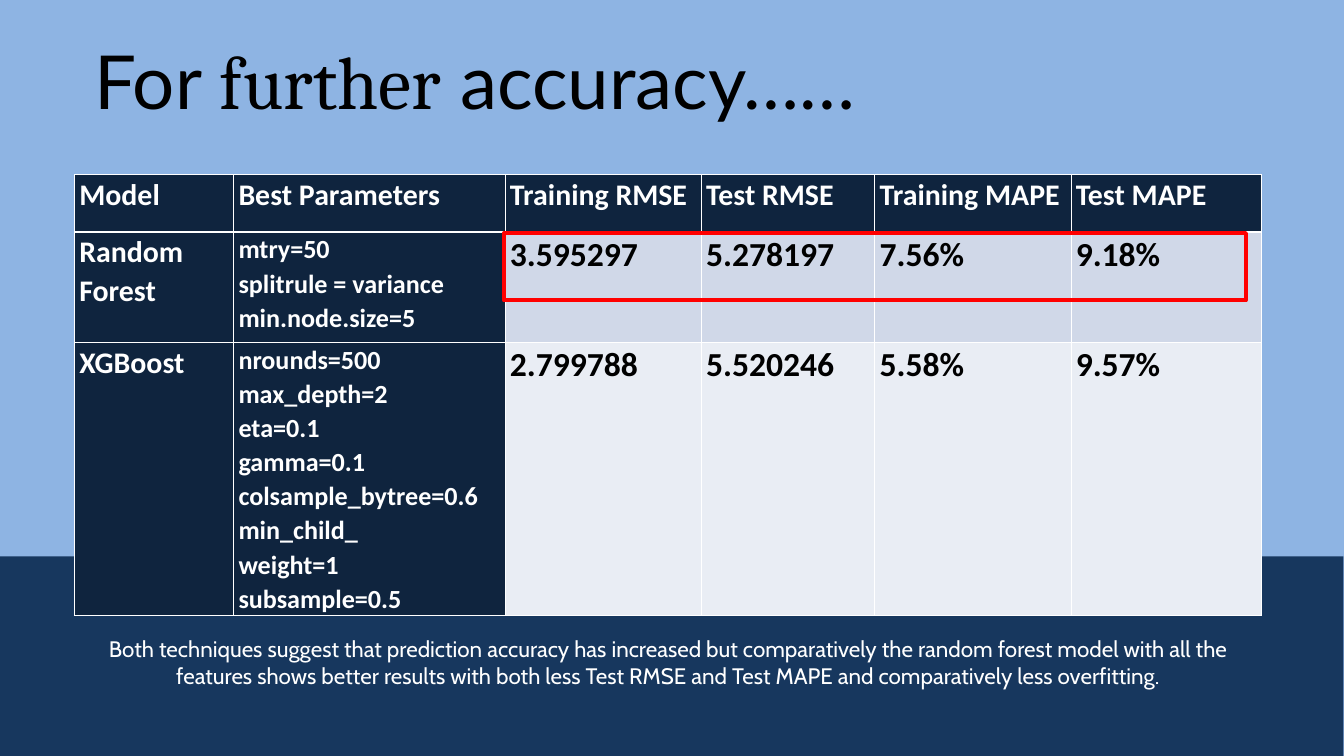
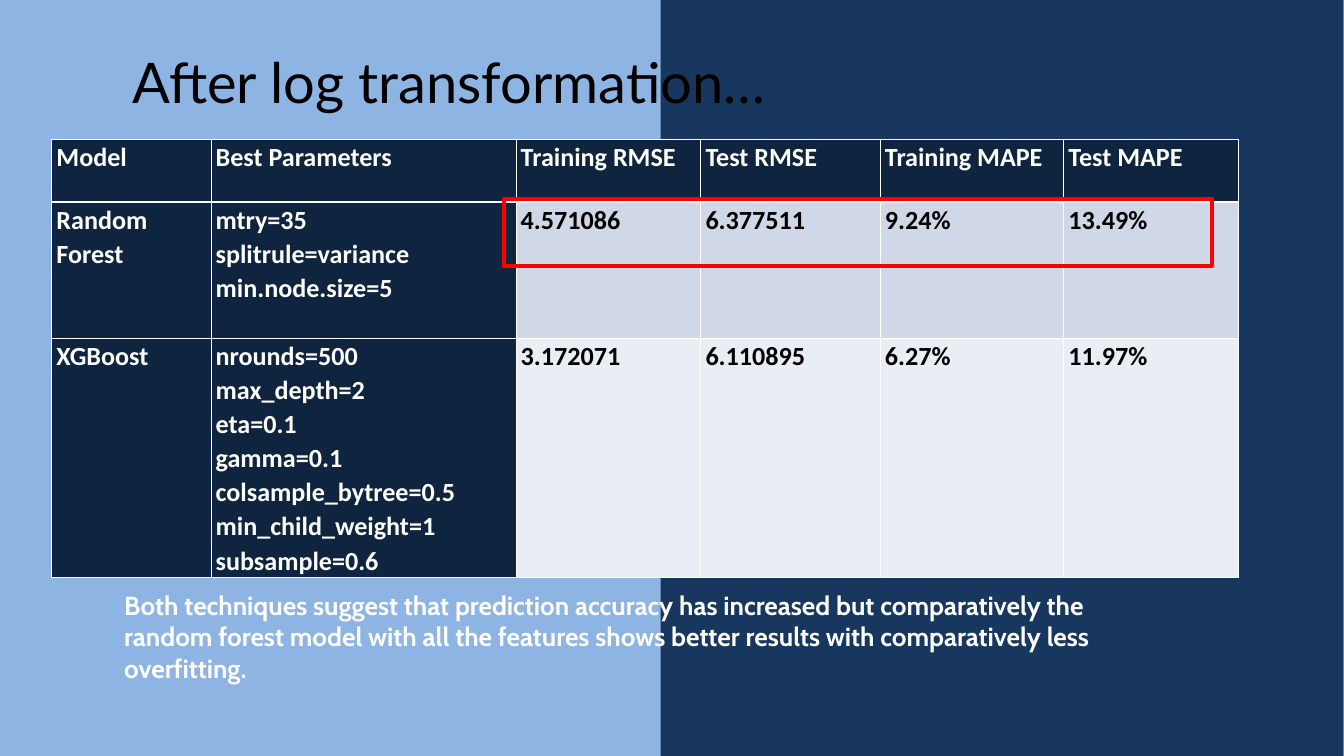
from lxml.etree import SubElement
from pptx import Presentation
from pptx.dml.color import RGBColor
from pptx.enum.shapes import MSO_SHAPE
from pptx.enum.text import MSO_ANCHOR, MSO_AUTO_SIZE, PP_ALIGN
from pptx.oxml.ns import qn
from pptx.util import Pt

PX = 9144  # 100 px to the inch
SKY = RGBColor(0x8E, 0xB4, 0xE3)
NAVY = RGBColor(0x17, 0x37, 0x5E)
INK = RGBColor(0x0F, 0x24, 0x3E)
BANDS = [RGBColor(0xD0, 0xD8, 0xE8), RGBColor(0xE9, 0xED, 0xF4)]
RED = RGBColor(0xFF, 0, 0)
BLACK = RGBColor(0, 0, 0)
WHITE = RGBColor(0xFF, 0xFF, 0xFF)

HEADS = ["Model", "Best Parameters", "Training RMSE", "Test RMSE",
         "Training MAPE", "Test MAPE"]

SLIDES = [
    dict(
        panel=(0, 828, 1999, 297),
        title=[("For ", "Lato"), ("further", "Cambria"), (" accuracy……", "Lato")],
        spot=(140, 30, 1476, 157), size=79.8, lead=Pt(111.8),
        grid=(111, 260), cols=[237, 404, 292, 258, 292, 283],
        rows=[85, 164, 396], sizes=dict(name=32, param=28, score=36),
        forest=["mtry=50\nsplitrule = variance\nmin.node.size=5",
                "3.595297", "5.278197", "7.56%", "9.18%"],
        boost=["nrounds=500\nmax_depth=2\neta=0.1\ngamma=0.1\n"
               "colsample_bytree=0.6\nmin_child_\nweight=1\nsubsample=0.5",
               "2.799788", "5.520246", "5.58%", "9.57%"],
        frame=(750, 347, 1104, 100),
        note="Both techniques suggest that prediction accuracy has increased but "
             "comparatively the random forest model with all the features shows "
             "better results with both less Test RMSE and Test MAPE and "
             "comparatively less overfitting.",
        place=(101, 940, 1786, 91), style=(24, False, PP_ALIGN.CENTER)),
    dict(
        panel=(983, 0, 1016, 1125),
        title=[("After log transformation…", "Lato")],
        spot=(197, 70, 1527, 101), size=60, lead=1.0,
        grid=(77, 208), cols=[237, 454, 275, 267, 273, 260],
        rows=[93, 202, 356], sizes=dict(name=28, param=28, score=28),
        forest=["mtry=35\nsplitrule=variance\nmin.node.size=5",
                "4.571086", "6.377511", "9.24%", "13.49%"],
        boost=["nrounds=500\nmax_depth=2\neta=0.1\ngamma=0.1\n"
               "colsample_bytree=0.5\nmin_child_weight=1\nsubsample=0.6",
               "3.172071", "6.110895", "6.27%", "11.97%"],
        frame=(750, 296, 1054, 100),
        note="Both techniques suggest that prediction accuracy has increased but "
             "comparatively the random forest model with all the features shows "
             "better results with comparatively less overfitting.",
        place=(175, 872, 1515, 246), style=(28, True, PP_ALIGN.LEFT)),
]


def put(para, text, face, size, color, bold=False):
    """Add one formatted run to a paragraph."""
    run = para.add_run()
    run.text = text
    font = run.font
    font.name, font.size, font.bold = face, Pt(size), bold
    font.color.rgb = color


def edge(cell, row):
    """Draw white cell borders, thick between header and body."""
    props = cell._tc.get_or_add_tcPr()
    thick = {(0, "B"), (1, "T")}
    for spot, side in enumerate("LRTB"):
        width = Pt(3 if (row, side) in thick else 1)
        line = SubElement(props, qn(f"a:ln{side}"), w=str(width))
        fill = SubElement(line, qn("a:solidFill"))
        SubElement(fill, qn("a:srgbClr"), val=str(WHITE))
        props.insert(spot, line)


deck = Presentation()
deck.slide_width, deck.slide_height = 2000 * PX, 1125 * PX

for data in SLIDES:
    slide = deck.slides.add_slide(deck.slide_layouts[5])
    slide.background.fill.solid()
    slide.background.fill.fore_color.rgb = SKY
    shapes = slide.shapes

    title = shapes.title
    title.left, title.top, title.width, title.height = [n * PX for n in data["spot"]]
    box = title.text_frame
    box.margin_left = box.margin_right = box.margin_top = box.margin_bottom = 0
    box.vertical_anchor = MSO_ANCHOR.TOP
    box.auto_size = MSO_AUTO_SIZE.NONE
    box.word_wrap = True
    para = box.paragraphs[0]
    para.alignment = PP_ALIGN.LEFT
    para.line_spacing = data["lead"]
    for text, face in data["title"]:
        put(para, text, face, data["size"], BLACK)

    panel = shapes.add_shape(MSO_SHAPE.RECTANGLE, *[n * PX for n in data["panel"]])
    panel.shadow.inherit = False
    panel.fill.solid()
    panel.fill.fore_color.rgb = NAVY
    panel.line.fill.background()
    title.element.addprevious(panel.element)  # keep the title in front

    cols, rows, sizes = data["cols"], data["rows"], data["sizes"]
    left, top = data["grid"]
    table = shapes.add_table(len(rows), len(cols), left * PX, top * PX,
                             sum(cols) * PX, sum(rows) * PX).table
    for col, width in zip(table.columns, cols):
        col.width = width * PX
    for row, height in zip(table.rows, rows):
        row.height = height * PX

    body = [HEADS, ["Random Forest", *data["forest"]], ["XGBoost", *data["boost"]]]
    for r, texts in enumerate(body):
        for c, text in enumerate(texts):
            dark = r == 0 or c < 2
            kind = "name" if r == 0 or c == 0 else "param" if c == 1 else "score"
            cell = table.cell(r, c)
            cell.margin_left = cell.margin_right = 7 * PX
            cell.margin_top = cell.margin_bottom = 0
            cell.fill.solid()
            cell.fill.fore_color.rgb = INK if dark else BANDS[r - 1]
            edge(cell, r)
            for i, line in enumerate(text.split("\n")):
                frame = cell.text_frame
                para = frame.add_paragraph() if i else frame.paragraphs[0]
                para.line_spacing = 1.07
                put(para, line, "Calibri", sizes[kind], WHITE if dark else BLACK, True)

    mark = shapes.add_shape(MSO_SHAPE.RECTANGLE, *[n * PX for n in data["frame"]])
    mark.shadow.inherit = False
    mark.fill.background()
    mark.line.color.rgb = RED
    mark.line.width = Pt(4.5)

    note = shapes.add_textbox(*[n * PX for n in data["place"]]).text_frame
    note.word_wrap = True
    size, bold, align = data["style"]
    note.paragraphs[0].alignment = align
    put(note.paragraphs[0], data["note"], "Cabin", size, WHITE, bold)

deck.save("out.pptx")
